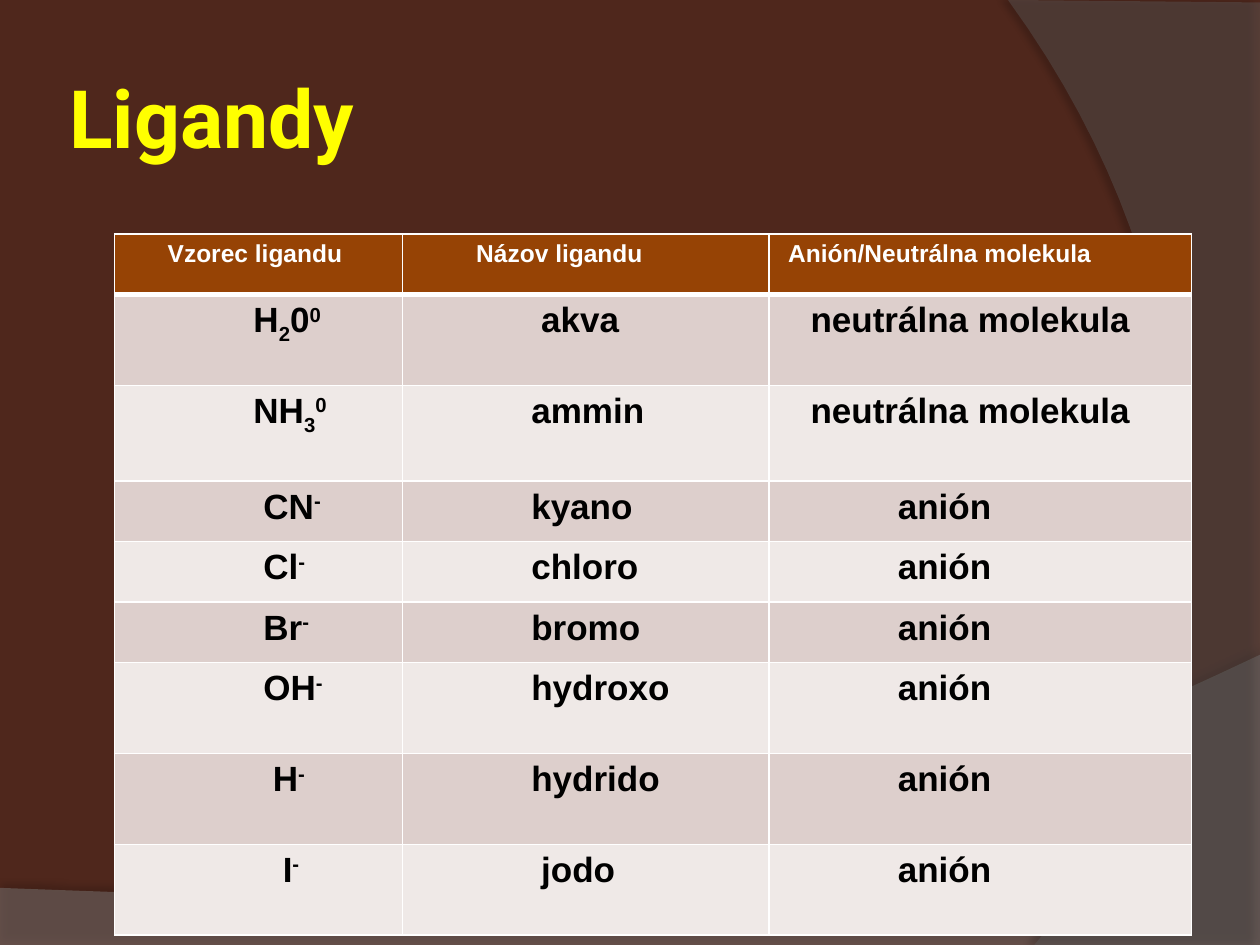
from lxml.etree import SubElement
from pptx import Presentation
from pptx.dml.color import RGBColor
from pptx.enum.text import MSO_ANCHOR
from pptx.oxml.ns import qn
from pptx.util import Cm, Pt

SUB, SUPER = -25000, 30000
TITLE = "Ligandy"

# Each cell: indent in spaces, then its text or its (text, baseline) parts
HEADER = [(6, "Vzorec ligandu"), (9, "Názov ligandu"), (1, "Anión/Neutrálna molekula")]
NEUTRAL = (3, "neutrálna molekula")
ANION = (12, "anión")


def anion_formula(indent, symbol):
    return indent, [(symbol, 0), ("-", SUPER)]


LIGANDS = [
    [(13, [("H", 0), ("2", SUB), ("0", 0), ("0", SUPER)]), (13, "akva"), NEUTRAL],
    [(13, [("NH", 0), ("3", SUB), ("0", SUPER)]), (12, "ammin"), NEUTRAL],
    [anion_formula(14, "CN"), (12, "kyano"), ANION],
    [anion_formula(14, "Cl"), (12, "chloro"), ANION],
    [anion_formula(14, "Br"), (12, "bromo"), ANION],
    [anion_formula(14, "OH"), (12, "hydroxo"), ANION],
    [anion_formula(15, "H"), (12, "hydrido"), ANION],
    [anion_formula(16, "I"), (13, "jodo"), ANION],
]
COLUMN_WIDTHS = [5.8, 7.39, 8.52]
ROW_HEIGHTS = [1.22, 1.83, 1.93, 1.22, 1.22, 1.22, 1.83, 1.83, 1.83]
BAND_FILLS = ["DDCFCC", "EFE9E7"]

# Straight corners in cm; the curve leaves the last corner
WAVES = [
    dict(corners=[(0, 17.9), (0, 19.05), (25.4, 19.05), (25.4, 13.2)],
         curve=[(14.2, 18.52), (9.93, 18.26), (0, 17.9)],
         color="7F7F7F", opacity=45, shadow_opacity=35, distance=3.5, angle=270),
    dict(corners=[(25.4, 0.05), (25.4, 19.05), (20.85, 19.05)],
         curve=[(23.75, 15.72), (25.86, 7.62), (20.32, 0)],
         color="5E5E5E", opacity=40, shadow_opacity=45, distance=4, angle=180),
]


def rgb(code):
    return RGBColor.from_string(code)


def curve_points(start, first, second, end, steps=40):
    """Points along a cubic Bezier curve, without its start."""
    for step in range(1, steps + 1):
        t = step / steps
        weights = ((1 - t) ** 3, 3 * t * (1 - t) ** 2, 3 * t * t * (1 - t), t ** 3)
        yield tuple(sum(w * p[axis] for w, p in zip(weights, (start, first, second, end)))
                    for axis in (0, 1))


def add_wave(slide, corners, curve, color, opacity, shadow_opacity, distance, angle):
    outline = [*corners, *curve_points(corners[-1], *curve)]
    points = [(Cm(x), Cm(y)) for x, y in outline]
    builder = slide.shapes.build_freeform(*points[0], scale=1.0)
    builder.add_line_segments(points[1:], close=True)
    wave = builder.convert_to_shape()
    wave.fill.solid()
    wave.fill.fore_color.rgb = rgb(color)
    wave.line.fill.background()
    wave.shadow.inherit = False
    properties = wave._element.spPr
    fill_color = properties.find(qn("a:solidFill")).find(qn("a:srgbClr"))
    SubElement(fill_color, qn("a:alpha"), val=str(opacity * 1000))
    shadow = SubElement(properties.find(qn("a:effectLst")), qn("a:outerShdw"),
                        blurRad=str(Pt(4)), dist=str(Pt(distance)),
                        dir=str(angle * 60000), rotWithShape="0")
    shadow_color = SubElement(shadow, qn("a:srgbClr"), val="000000")
    SubElement(shadow_color, qn("a:alpha"), val=str(shadow_opacity * 1000))


def set_borders(cell, top, bottom):
    """White borders; top and bottom widths in points, sides 1 pt."""
    properties = cell._tc.get_or_add_tcPr()
    for side, width in (("L", 1), ("R", 1), ("T", top), ("B", bottom)):
        border = SubElement(properties, qn(f"a:ln{side}"), w=str(Pt(width)))
        SubElement(SubElement(border, qn("a:solidFill")), qn("a:srgbClr"), val="FFFFFF")


def write_cell(cell, indent, content, size, color):
    space_width = 0.278 * size * 2.54 / 72
    cell.margin_left = Cm(round(0.25 + indent * space_width, 2))
    paragraph = cell.text_frame.paragraphs[0]
    parts = [(content, 0)] if isinstance(content, str) else content
    for text, baseline in parts:
        run = paragraph.add_run()
        run.text = text
        if baseline:
            run._r.get_or_add_rPr().set("baseline", str(baseline))
    font = paragraph.font
    font.name, font.size, font.bold = "Arial", Pt(size), True
    font.color.rgb = rgb(color)


def add_title(slide):
    frame = slide.shapes.add_textbox(Cm(1.27), Cm(0.76), Cm(20.75), Cm(3.18)).text_frame
    frame.word_wrap = True
    frame.vertical_anchor = MSO_ANCHOR.MIDDLE
    frame.margin_left = frame.margin_right = Cm(0.13)
    frame.margin_top = frame.margin_bottom = Cm(0.13)
    title = frame.paragraphs[0]
    title.text = TITLE
    title.font.name, title.font.size, title.font.bold = "Roboto", Pt(46), True
    title.font.color.rgb = rgb("FFFF00")


def add_ligand_table(slide):
    rows = [HEADER, *LIGANDS]
    table = slide.shapes.add_table(
        len(rows), len(HEADER), Cm(2.31), Cm(4.72),
        Cm(sum(COLUMN_WIDTHS)), Cm(sum(ROW_HEIGHTS))).table
    for column, width in zip(table.columns, COLUMN_WIDTHS):
        column.width = Cm(width)
    for index, (row, height, contents) in enumerate(zip(table.rows, ROW_HEIGHTS, rows)):
        row.height = Cm(height)
        is_header = index == 0
        size, color = (14, "FFFFFF") if is_header else (20, "000000")
        for cell, (indent, content) in zip(row.cells, contents):
            set_borders(cell, top=3 if index == 1 else 1, bottom=3 if is_header else 1)
            cell.fill.solid()
            cell.fill.fore_color.rgb = rgb("964305" if is_header else BAND_FILLS[(index - 1) % 2])
            write_cell(cell, indent, content, size, color)


def main():
    presentation = Presentation()
    presentation.slide_width, presentation.slide_height = Cm(25.4), Cm(19.05)
    slide = presentation.slides.add_slide(presentation.slide_layouts[6])
    slide.background.fill.solid()
    slide.background.fill.fore_color.rgb = rgb("4F271C")
    for wave in WAVES:
        add_wave(slide, **wave)
    add_title(slide)
    add_ligand_table(slide)
    presentation.save("out.pptx")


if __name__ == "__main__":
    main()
